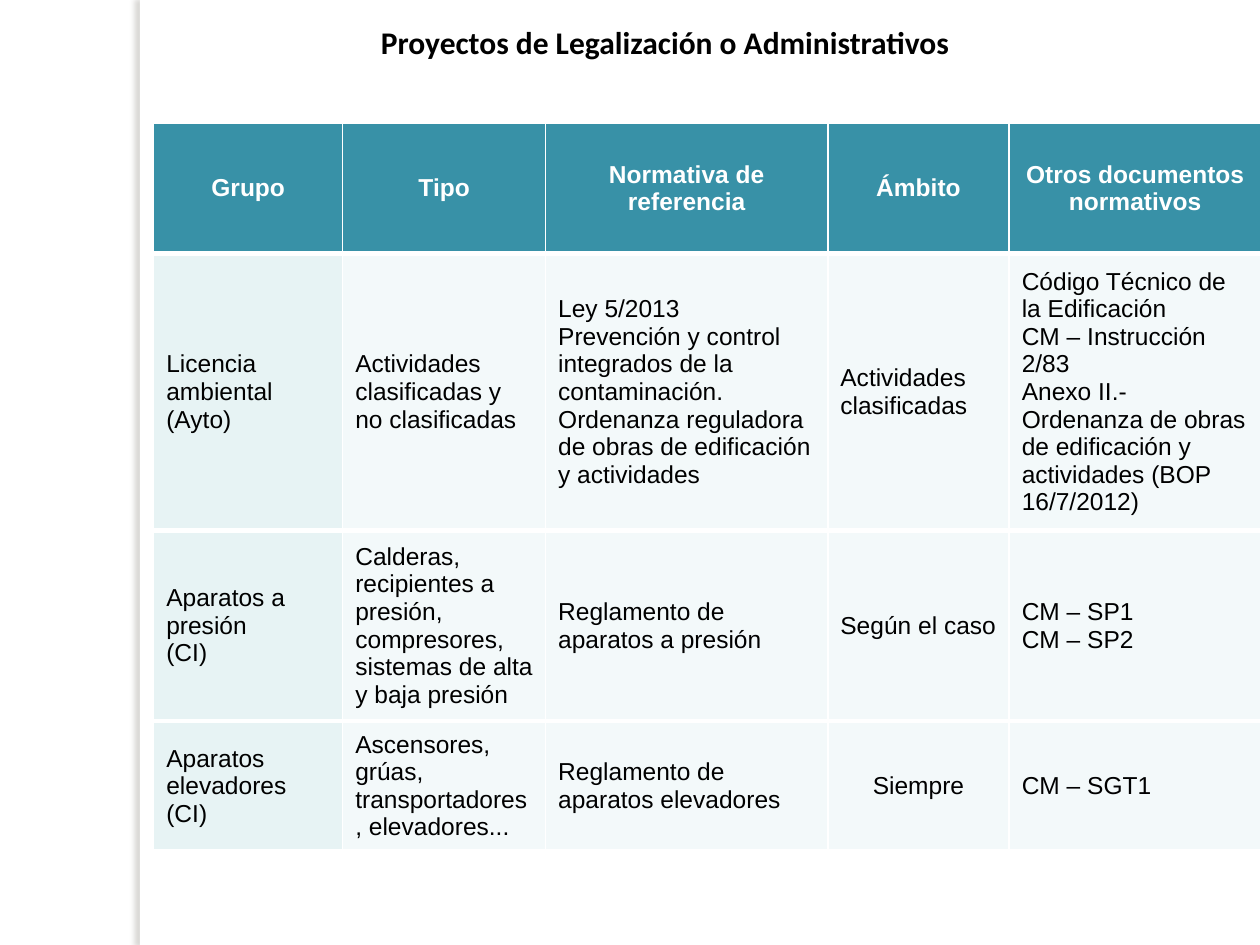
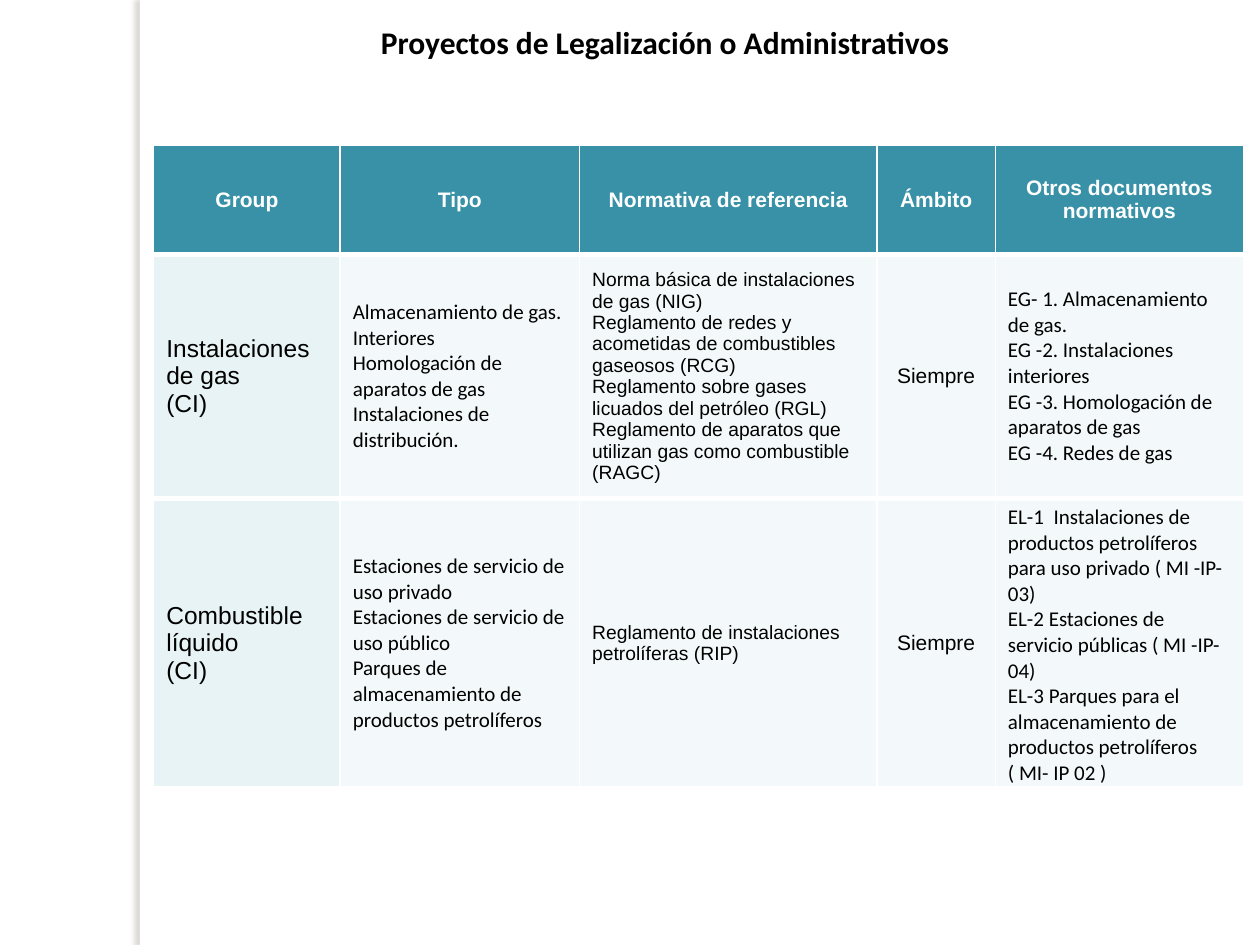
from lxml import etree
from pptx import Presentation
from pptx import util as u
from pptx.dml.color import RGBColor
from pptx.enum import shapes, text
from pptx.oxml import parse_xml

NS = 'xmlns:a="http://schemas.openxmlformats.org/drawingml/2006/main"'
WHITE = RGBColor(0xFF, 0xFF, 0xFF)
BLACK = RGBColor(0x00, 0x00, 0x00)
TEAL = RGBColor(0x38, 0x91, 0xA7)
GROUP_TINT = RGBColor(0xE7, 0xF3, 0xF4)
CELL_TINT = RGBColor(0xF3, 0xF9, 0xFA)
SHADOW = RGBColor(0x70, 0x6B, 0x5F)

TITLE = "Proyectos de Legalización o Administrativos"
HEADINGS = ["Tipo", "Normativa de referencia", "Ámbito", "Otros documentos normativos"]
ALWAYS = "Siempre"  # the one body entry that is centred

PERMITS = [
    ["Grupo"] + HEADINGS,
    ["Licencia ambiental\n(Ayto)",
     "Actividades clasificadas y no clasificadas",
     "Ley 5/2013\nPrevención y control integrados de la contaminación.\n"
     "Ordenanza reguladora de obras de edificación y actividades",
     "Actividades clasificadas",
     "Código Técnico de la Edificación\nCM – Instrucción 2/83\n"
     "Anexo II.- Ordenanza de obras de edificación y actividades (BOP 16/7/2012)"],
    ["Aparatos a presión\n(CI)",
     "Calderas, recipientes a presión, compresores, sistemas de alta y baja presión",
     "Reglamento de aparatos a presión",
     "Según el caso",
     "CM – SP1\nCM – SP2"],
    ["Aparatos elevadores\n(CI)",
     "Ascensores, grúas, transportadores, elevadores...",
     "Reglamento de aparatos elevadores",
     ALWAYS,
     "CM – SGT1"],
]

FUELS = [
    ["Group"] + HEADINGS,
    ["Instalaciones de gas\n(CI)",
     "Almacenamiento de gas.\nInteriores\nHomologación de aparatos de gas\n"
     "Instalaciones de distribución.",
     "Norma básica de instalaciones de gas (NIG)\n"
     "Reglamento de redes y acometidas de combustibles gaseosos (RCG)\n"
     "Reglamento sobre gases licuados del petróleo (RGL)\n"
     "Reglamento de aparatos que utilizan gas como combustible (RAGC)",
     ALWAYS,
     "EG- 1. Almacenamiento de gas.\nEG -2. Instalaciones interiores\n"
     "EG -3. Homologación de aparatos de gas\nEG -4. Redes de gas"],
    ["Combustible líquido\n(CI)",
     "Estaciones de servicio de uso privado\nEstaciones de servicio de uso público\n"
     "Parques de almacenamiento de productos petrolíferos",
     "Reglamento de instalaciones petrolíferas (RIP)",
     ALWAYS,
     "EL-1  Instalaciones de productos petrolíferos para uso privado ( MI -IP- 03)\n"
     "EL-2 Estaciones de servicio públicas ( MI -IP- 04)\n"
     "EL-3 Parques para el almacenamiento de productos petrolíferos ( MI- IP 02 )"],
]


class Deck:
    """Holds the shared style and the current slide."""

    def __init__(self):
        self.prs = Presentation()
        self.prs.slide_width, self.prs.slide_height = u.Inches(10), u.Inches(7.5)
        self.s = None

    def slide(self):
        self.s = self.prs.slides.add_slide(self.prs.slide_layouts[6])
        self.band()
        self.title(TITLE)

    def band(self):
        """White strip with a soft shadow to its left."""
        sp = self.s.shapes.add_shape(shapes.MSO_SHAPE.RECTANGLE, u.Inches(1.11), 0,
                                     u.Inches(0.08), self.prs.slide_height)
        sp.fill.solid()
        sp.fill.fore_color.rgb = WHITE
        sp.line.fill.background()
        sp.shadow.inherit = False
        effects = sp._element.spPr.find("{*}effectLst")
        effects.append(parse_xml(
            f'<a:outerShdw {NS} blurRad="{u.Pt(3)}" dist="{u.Pt(3)}" dir="10800000" '
            f'rotWithShape="0"><a:srgbClr val="{SHADOW}"><a:alpha val="25000"/>'
            '</a:srgbClr></a:outerShdw>'))

    def title(self, words):
        sp = self.s.shapes.add_textbox(u.Inches(1.38), u.Inches(0.13),
                                       u.Inches(7.8), u.Inches(0.4))
        tf = sp.text_frame
        tf.word_wrap = True
        tf.auto_size = text.MSO_AUTO_SIZE.SHAPE_TO_FIT_TEXT
        tf.text = words
        self.style(tf, "Calibri", 18, BLACK, True, True)

    def style(self, tf, font, size, color, bold, centred):
        for p in tf.paragraphs:
            p.alignment = text.PP_ALIGN.CENTER if centred else text.PP_ALIGN.LEFT
            p.font.name, p.font.size = font, u.Pt(size)
            p.font.bold, p.font.color.rgb = bold, color

    def borders(self, cell, top):
        tc_pr = cell._tc.get_or_add_tcPr()
        for i, (side, width) in enumerate({"L": 1, "R": 1, "T": top, "B": 3}.items()):
            tc_pr.insert(i, etree.fromstring(
                f'<a:ln{side} {NS} w="{u.Pt(width)}"><a:solidFill>'
                f'<a:srgbClr val="{WHITE}"/></a:solidFill></a:ln{side}>'))

    def table(self, top, widths, heights, rows, head_size, fonts):
        """fonts gives the body font and size of each column."""
        frame = self.s.shapes.add_table(len(rows), len(widths), u.Inches(1.22), u.Inches(top),
                                        u.Inches(sum(widths)), u.Inches(sum(heights)))
        table = frame.table
        table.horz_banding = False
        for column, width in zip(table.columns, widths):
            column.width = u.Inches(width)
        for row, height in zip(table.rows, heights):
            row.height = u.Inches(height)
        for i, row in enumerate(rows):
            for j, words in enumerate(row):
                cell = table.cell(i, j)
                cell.text = words
                cell.vertical_anchor = text.MSO_ANCHOR.MIDDLE
                cell.fill.solid()
                if i == 0:
                    cell.fill.fore_color.rgb = TEAL
                    self.style(cell.text_frame, "Arial", head_size, WHITE, True, True)
                else:
                    cell.fill.fore_color.rgb = CELL_TINT if j else GROUP_TINT
                    self.style(cell.text_frame, *fonts[j], BLACK, False, words == ALWAYS)
                self.borders(cell, 3 if i else 1)


def main():
    deck = Deck()

    # Environmental licence, pressure and lifting equipment
    deck.slide()
    deck.table(0.98, [1.5, 1.61, 2.24, 1.44, 2], [1.03, 2.2, 1.51, 1.01],
               PERMITS, 14, [("Arial", 14)] * 5)

    # Gas and liquid fuel
    deck.slide()
    deck.table(1.15, [1.48, 1.9, 2.36, 0.94, 1.97], [0.87, 1.93, 2.29], FUELS, 12,
               [("Arial", 14), ("Calibri", 12), ("Arial", 11), ("Arial", 12), ("Calibri", 12)])

    deck.prs.save("out.pptx")


if __name__ == "__main__":
    main()
